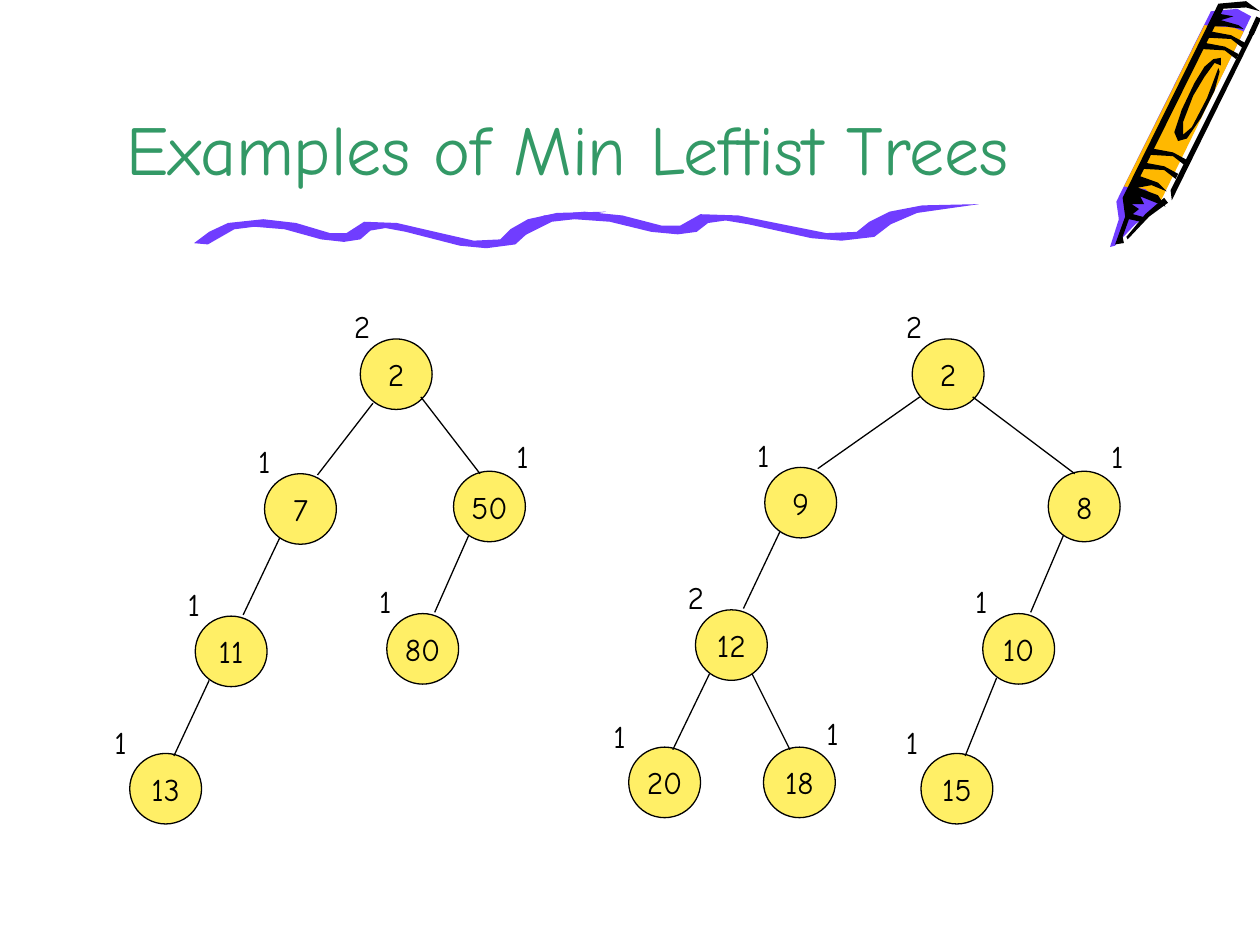
"""Build a slide showing two example min leftist trees."""
from dataclasses import dataclass
from typing import NamedTuple

from lxml import etree
from pptx import Presentation
from pptx.dml.color import RGBColor
from pptx.enum.shapes import MSO_CONNECTOR, MSO_SHAPE
from pptx.enum.text import MSO_ANCHOR, MSO_AUTO_SIZE, PP_ALIGN
from pptx.oxml.ns import qn
from pptx.util import Pt

PX = 9144
SLIDE_SIZE = (1000, 750)
TITLE_BOX = (75, 0, 751, 155)
NODE_SIZE = (57, 56)
RANK_SIZE = (35, 40)
STRAIGHT = MSO_CONNECTOR.STRAIGHT
OVAL = MSO_SHAPE.OVAL
CENTER, LEFT = PP_ALIGN.CENTER, PP_ALIGN.LEFT
TOP, MIDDLE, BOTTOM = MSO_ANCHOR.TOP, MSO_ANCHOR.MIDDLE, MSO_ANCHOR.BOTTOM
FIT_SHAPE = MSO_AUTO_SIZE.SHAPE_TO_FIT_TEXT


@dataclass(frozen=True)
class Theme:
    """Colours, font and sizes in points."""
    font: str = "Comic Neue"
    title: str = "339966"
    ink: str = "000000"
    node: str = "FFEF66"
    purple: str = "703DFF"
    orange: str = "FFB800"
    title_size: int = 40
    text_size: int = 18
    edge_width: float = 0.75
    crayon_width: float = 3


class Branch(NamedTuple):
    """Offsets of a rank label, and of edge ends from parent and child corners."""
    rank: tuple
    leave: tuple = (0, 0)
    arrive: tuple = (0, 0)


class Node(NamedTuple):
    """A tree node with its corner, its branch from the parent and its children."""
    value: int
    rank: int
    left: int
    top: int
    branch: Branch
    children: tuple = ()


THEME = Theme()
ROOT = Branch(rank=(-15, -30))
ROOT_LEFT = Branch(rank=(-15, -30), leave=(10, 51), arrive=(42, 1))
ROOT_FAR_LEFT = Branch(rank=(-16, -30), leave=(6, 46), arrive=(42, 1))
ROOT_RIGHT = Branch(rank=(40, -32), leave=(48, 46), arrive=(21, 2))
INNER_LEFT = Branch(rank=(-16, -30), leave=(12, 51), arrive=(38, -1))
LEAF_LEFT = Branch(rank=(-22, -29), leave=(11, 51), arrive=(35, 2))
LEAF_RIGHT = Branch(rank=(40, -31), leave=(45, 51), arrive=(21, 2))

TREES = (
    Node(2, 2, 286, 269, ROOT, (
        Node(7, 1, 210, 376, ROOT_LEFT, (
            Node(11, 1, 155, 489, INNER_LEFT, (
                Node(13, 1, 103, 598, LEAF_LEFT),)),)),
        Node(50, 1, 360, 374, ROOT_RIGHT, (
            Node(80, 1, 307, 487, INNER_LEFT),)))),
    Node(2, 2, 724, 269, ROOT, (
        Node(9, 1, 607, 371, ROOT_FAR_LEFT, (
            Node(12, 2, 552, 484, INNER_LEFT, (
                Node(20, 1, 499, 593, LEAF_LEFT),
                Node(18, 1, 606, 593, LEAF_RIGHT))),)),
        Node(8, 1, 832, 374, ROOT_RIGHT, (
            Node(10, 1, 780, 487, INNER_LEFT, (
                Node(15, 1, 731, 598, LEAF_LEFT),)),)))),
)

WAVE_LOWER = [(11, 26), (32, 14), (48, 12), (72, 14), (101, 22), (119, 24), (132, 22), (140, 15),
              (152, 13), (168, 16), (211, 27), (232, 29), (255, 26), (266, 16), (284, 7), (327, 0)]
WAVE_UPPER = [(0, 25), (12, 16), (27, 9), (55, 6), (81, 9), (108, 17), (121, 17), (135, 8),
              (161, 9), (200, 18), (222, 23), (243, 22), (251, 14), (265, 6), (288, 1)]
WAVE_PLACES = [(154, 168, 1), (401, 162, 1.15)]

BAND = [(0, 0), (-9, -7), (-27, -8), (-25, -13), (-9, -10), (2, -4)]
BAND_CORNERS = [(933, 142), (940, 131), (981, 47), (986, 38)]
CRAYON_EDGE = (999, 14, 993, 27)
CRAYON_PARTS = {
    "wax": (THEME.purple, [
        (993, 13), (917, 166), (901, 178), (885, 195), (881, 196), (888, 174), (886, 160),
        (961, 9), (982, 7)]),
    "wrapper": (THEME.orange, [
        (921, 160), (909, 150), (892, 148), (956, 20), (979, 22), (987, 25)]),
    "tip shade": (THEME.ink, [
        (927, 161), (912, 172), (895, 190), (894, 188), (909, 170), (924, 157)]),
    "end shade": (THEME.ink, [
        (987, 23), (973, 21), (961, 21), (968, 11), (979, 13), (969, 16), (983, 20)]),
    "label ring": (THEME.ink, [
        (968, 57), (964, 72), (953, 94), (942, 110), (935, 112), (932, 105), (938, 87), (948, 66),
        (956, 53), (963, 47), (969, 46), (969, 52), (964, 50), (956, 61), (947, 76), (939, 97),
        (939, 107), (946, 101), (958, 78), (967, 54)]),
    "right side": (THEME.ink, [(997, 23), (930, 159), (929, 151), (993, 23)]),
    "left side": (THEME.ink, [
        (925, 164), (919, 155), (903, 149), (914, 147), (926, 152), (919, 145), (905, 140),
        (971, 7), (989, 6), (1000, 9), (989, 1), (967, 3), (891, 157), (893, 172), (885, 194),
        (892, 193), (891, 188), (896, 174), (905, 176), (910, 173), (899, 170), (904, 166),
        (898, 162), (908, 162), (905, 156)]),
}


def emu(*lengths):
    """Convert px lengths to EMU."""
    return [length * PX for length in lengths]


def rgb(colour):
    """Return a colour object for a hex string."""
    return RGBColor.from_string(colour)


def moved(points, left, top, stretch=1):
    """Return points stretched sideways and moved to a place."""
    return [(round(left + x * stretch), top + y) for x, y in points]


def paint(shape, colour):
    """Give a shape a flat fill and no shadow."""
    shape.shadow.inherit = False
    shape.fill.solid()
    shape.fill.fore_color.rgb = rgb(colour)


def set_text(shape, text, size, colour, align, anchor, wrap=True):
    """Put one formatted line of text in a shape."""
    frame = shape.text_frame
    frame.text = text
    frame.word_wrap = wrap
    frame.vertical_anchor = anchor
    paragraph = frame.paragraphs[0]
    paragraph.alignment = align
    font = paragraph.runs[0].font
    font.name, font.size = THEME.font, Pt(size)
    font.color.rgb = rgb(colour)


def add_outline(slide, points, colour):
    """Add a filled closed outline."""
    builder = slide.shapes.build_freeform(*points[0], scale=PX)
    builder.add_line_segments(points[1:], close=True)
    shape = builder.convert_to_shape()
    paint(shape, colour)
    shape.line.fill.background()


def add_line(slide, ends, width):
    """Add a straight line without a shadow."""
    connector = slide.shapes.add_connector(STRAIGHT, *emu(*ends))
    connector.line.color.rgb = rgb(THEME.ink)
    connector.line.width = Pt(width)
    etree.SubElement(connector._element.spPr, qn("a:effectLst"))


def add_title(slide, text):
    """Add the slide title."""
    shape = slide.shapes.add_textbox(*emu(*TITLE_BOX))
    set_text(shape, text, THEME.title_size, THEME.title, CENTER, BOTTOM)


def add_node(slide, node):
    """Add a node circle and its rank label."""
    circle = slide.shapes.add_shape(OVAL, *emu(node.left, node.top, *NODE_SIZE))
    paint(circle, THEME.node)
    circle.line.color.rgb = rgb(THEME.ink)
    circle.line.width = Pt(THEME.edge_width)
    set_text(circle, str(node.value), THEME.text_size, THEME.ink, CENTER, MIDDLE, wrap=False)
    corner = moved([node.branch.rank], node.left, node.top)[0]
    rank = slide.shapes.add_textbox(*emu(*corner, *RANK_SIZE))
    set_text(rank, str(node.rank), THEME.text_size, THEME.ink, LEFT, TOP)
    rank.text_frame.auto_size = FIT_SHAPE


def add_tree(slide, node):
    """Add a node, then each subtree and the edge that leads to it."""
    add_node(slide, node)
    for child in node.children:
        add_tree(slide, child)
        start = moved([child.branch.leave], node.left, node.top)[0]
        end = moved([child.branch.arrive], child.left, child.top)[0]
        add_line(slide, start + end, THEME.edge_width)


def add_crayon(slide):
    """Add the crayon, its repeated bands and its outer edge."""
    for colour, points in CRAYON_PARTS.values():
        add_outline(slide, points, colour)
    for corner in BAND_CORNERS:
        add_outline(slide, moved(BAND, *corner), THEME.ink)
    add_line(slide, CRAYON_EDGE, THEME.crayon_width)


def add_underline(slide):
    """Add one wave outline at each place, stretched to fit."""
    for place in WAVE_PLACES:
        add_outline(slide, moved(WAVE_LOWER + WAVE_UPPER[::-1], *place), THEME.purple)


def main():
    """Build and save the presentation."""
    presentation = Presentation()
    presentation.slide_width, presentation.slide_height = emu(*SLIDE_SIZE)
    slide = presentation.slides.add_slide(presentation.slide_layouts[6])
    add_crayon(slide)
    add_underline(slide)
    add_title(slide, "Examples of Min Leftist Trees")
    for root in TREES:
        add_tree(slide, root)
    presentation.save("out.pptx")


if __name__ == "__main__":
    main()
